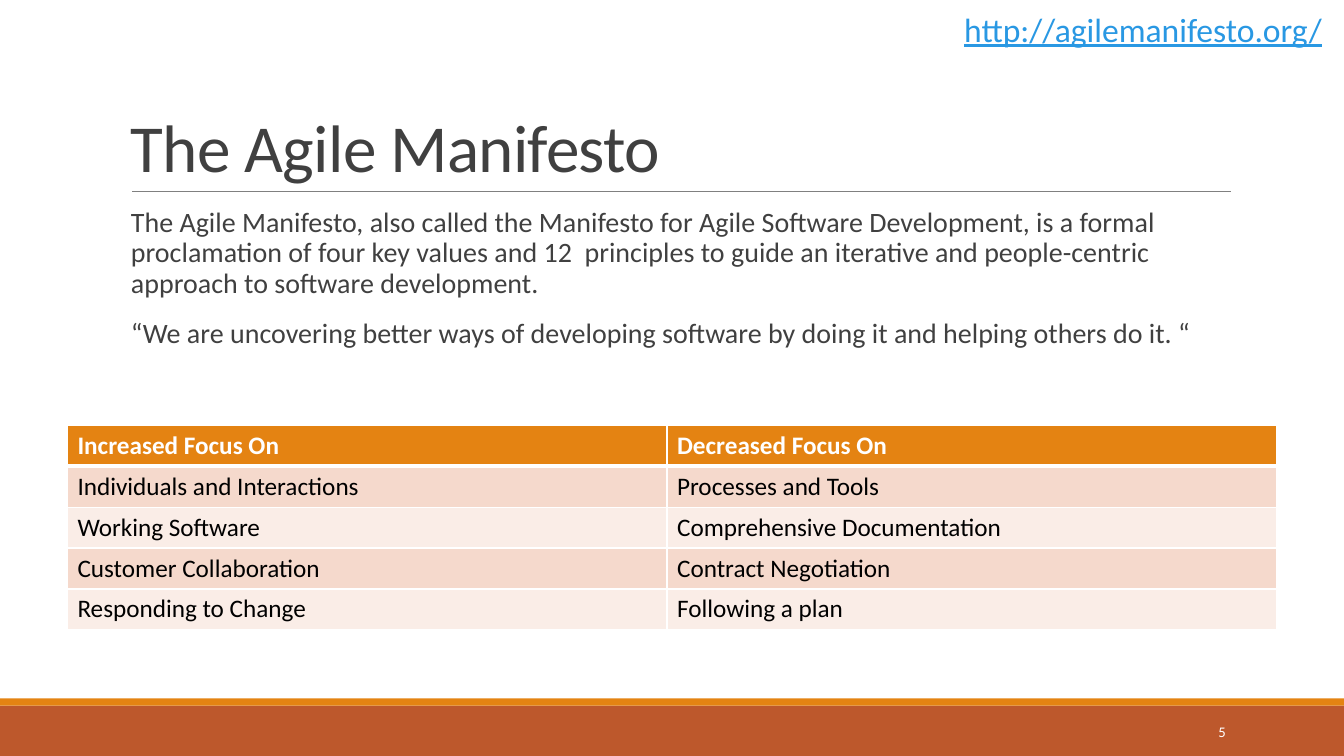
from lxml import etree
from pptx import Presentation
from pptx.dml.color import RGBColor
from pptx.enum.shapes import MSO_CONNECTOR, MSO_SHAPE
from pptx.enum.text import MSO_ANCHOR, PP_ALIGN
from pptx.oxml.ns import qn
from pptx.util import Cm, Pt

RECTANGLE = MSO_SHAPE.RECTANGLE
STRAIGHT = MSO_CONNECTOR.STRAIGHT
TOP, MIDDLE, BOTTOM = MSO_ANCHOR.TOP, MSO_ANCHOR.MIDDLE, MSO_ANCHOR.BOTTOM
LEFT, RIGHT = PP_ALIGN.LEFT, PP_ALIGN.RIGHT

TITLE = "The Agile Manifesto"
ADDRESS = "http://agilemanifesto.org/"
PAGE_NUMBER = "5"
INTRODUCTION = [
    "The Agile Manifesto, also called the Manifesto for Agile Software Development, "
    "is a formal proclamation of four key values and 12  principles to guide an "
    "iterative and people-centric approach to software development.",
    "“We are uncovering better ways of developing software by doing it and helping others do it. “",
]
FOCUS = [
    ("Increased Focus On", "Decreased Focus On"),
    ("Individuals and Interactions", "Processes and Tools"),
    ("Working Software", "Comprehensive Documentation"),
    ("Customer Collaboration", "Contract Negotiation"),
    ("Responding to Change", "Following a plan"),
]

WIDTH, HEIGHT = 33.87, 19.05
FOOTER_TOP, STRIP_HEIGHT = 17.78, 0.18
CONTENT_LEFT, CONTENT_WIDTH = 3.05, 27.94
FOCUS_LEFT, FOCUS_TOP = 1.7, 10.72
FOCUS_WIDTHS = (15.11, 15.37)
ROW_HEIGHT = 1.03

ORANGE, RUST, GREY, WHITE = "E48312", "BD582C", "404040", "FFFFFF"
BANDS = ("FAEDE7", "F5D9CC")

TITLE_FORMAT = {"size": Pt(48), "color": GREY}
BODY_FORMAT = {"size": Pt(20), "color": GREY}
ADDRESS_FORMAT = {"size": Pt(24), "color": "2998E3", "underline": True}
NUMBER_FORMAT = {"size": Pt(10.5), "color": WHITE}
HEADER_FORMAT = {"size": Pt(18), "color": WHITE, "bold": True}
ENTRY_FORMAT = {"size": Pt(18), "color": "000000", "bold": False}


def paint(colour_format, colour):
    colour_format.rgb = RGBColor.from_string(colour)


def fill_with(target, colour):
    target.fill.solid()
    paint(target.fill.fore_color, colour)


def write(paragraph, text, format_values):
    run = paragraph.add_run()
    run.text = text
    run.font.name = "Calibri"
    for attribute, value in format_values.items():
        if attribute == "color":
            paint(run.font.color, value)
        else:
            setattr(run.font, attribute, value)
    return run


def add_text(slide, place, paragraphs, format_values, anchor=TOP, wrap=True, **layout):
    frame = slide.shapes.add_textbox(*map(Cm, place)).text_frame
    frame.word_wrap = wrap
    frame.vertical_anchor = anchor
    for index, text in enumerate(paragraphs):
        paragraph = frame.add_paragraph() if index else frame.paragraphs[0]
        for attribute, value in layout.items():
            if index or attribute != "space_before":
                setattr(paragraph, attribute, value)
        write(paragraph, text, format_values)
    return frame


def add_band(slide, top, height, colour):
    band = slide.shapes.add_shape(RECTANGLE, 0, Cm(top), Cm(WIDTH), Cm(height))
    band.shadow.inherit = False
    fill_with(band, colour)
    band.line.fill.background()


def add_rule(slide, left, right, y):
    rule = slide.shapes.add_connector(STRAIGHT, Cm(left), Cm(y), Cm(right), Cm(y))
    rule.line.width = Pt(0.5)
    paint(rule.line.color, "808080")
    etree.SubElement(rule._element.spPr, qn("a:effectLst"))


def add_borders(cell, bottom_points, top_points):
    properties = cell._tc.get_or_add_tcPr()
    for side, points in (("L", 1), ("R", 1), ("T", top_points), ("B", bottom_points)):
        border = etree.SubElement(properties, qn(f"a:ln{side}"), w=str(Pt(points)))
        fill = etree.SubElement(border, qn("a:solidFill"))
        etree.SubElement(fill, qn("a:srgbClr"), val=WHITE)


def add_focus_table(slide):
    size = sum(FOCUS_WIDTHS), ROW_HEIGHT * len(FOCUS)
    table = slide.shapes.add_table(
        len(FOCUS), len(FOCUS_WIDTHS), *map(Cm, (FOCUS_LEFT, FOCUS_TOP, *size))
    ).table
    for column, width in zip(table.columns, FOCUS_WIDTHS):
        column.width = Cm(width)
    for row, entries in enumerate(FOCUS):
        table.rows[row].height = Cm(ROW_HEIGHT)
        for column, entry in enumerate(entries):
            cell = table.cell(row, column)
            add_borders(cell, 1 if row else 3, 3 if row == 1 else 1)
            fill_with(cell, BANDS[row % 2] if row else ORANGE)
            write(cell.text_frame.paragraphs[0], entry, ENTRY_FORMAT if row else HEADER_FORMAT)


def main():
    deck = Presentation()
    deck.slide_width, deck.slide_height = Cm(WIDTH), Cm(HEIGHT)
    slide = deck.slides.add_slide(deck.slide_layouts[6])

    add_band(slide, FOOTER_TOP, HEIGHT - FOOTER_TOP, RUST)
    add_band(slide, FOOTER_TOP - STRIP_HEIGHT, STRIP_HEIGHT, ORANGE)
    add_rule(slide, 3.33, 31.01, 4.83)

    title = add_text(slide, (CONTENT_LEFT, 0.79, CONTENT_WIDTH, 4.04), [TITLE],
                     TITLE_FORMAT, BOTTOM, line_spacing=0.85)
    title.paragraphs[0].runs[0].font._element.set("spc", "-50")

    add_focus_table(slide)
    add_text(slide, (27.51, 17.93, 3.63, 1.02), [PAGE_NUMBER],
             NUMBER_FORMAT, MIDDLE, alignment=RIGHT)
    add_text(slide, (24.05, 0.1, 9.82, 1.27), [ADDRESS],
             ADDRESS_FORMAT, wrap=False, alignment=LEFT)
    introduction = add_text(slide, (CONTENT_LEFT, 5.13, CONTENT_WIDTH, 11.18), INTRODUCTION,
                            BODY_FORMAT, line_spacing=0.9,
                            space_before=Pt(12), space_after=Pt(2))
    introduction.margin_right = 0

    deck.save("out.pptx")


if __name__ == "__main__":
    main()
